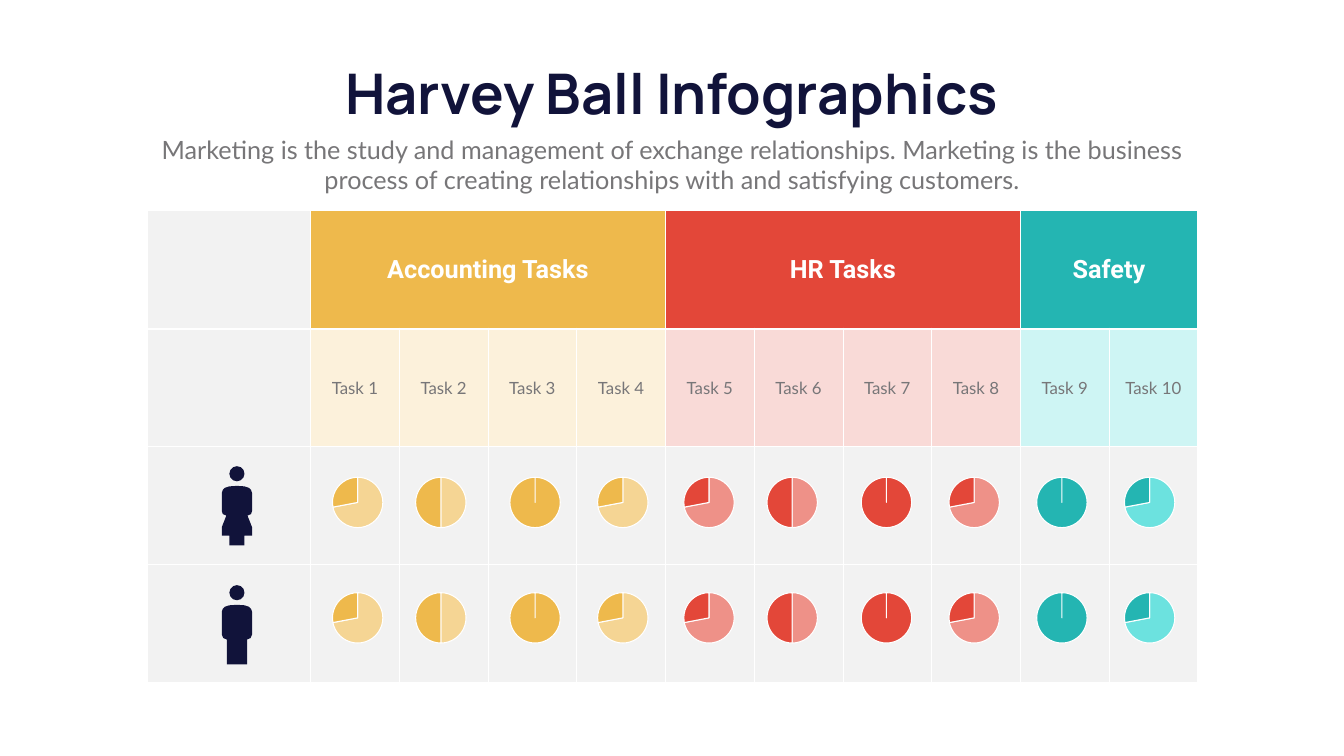
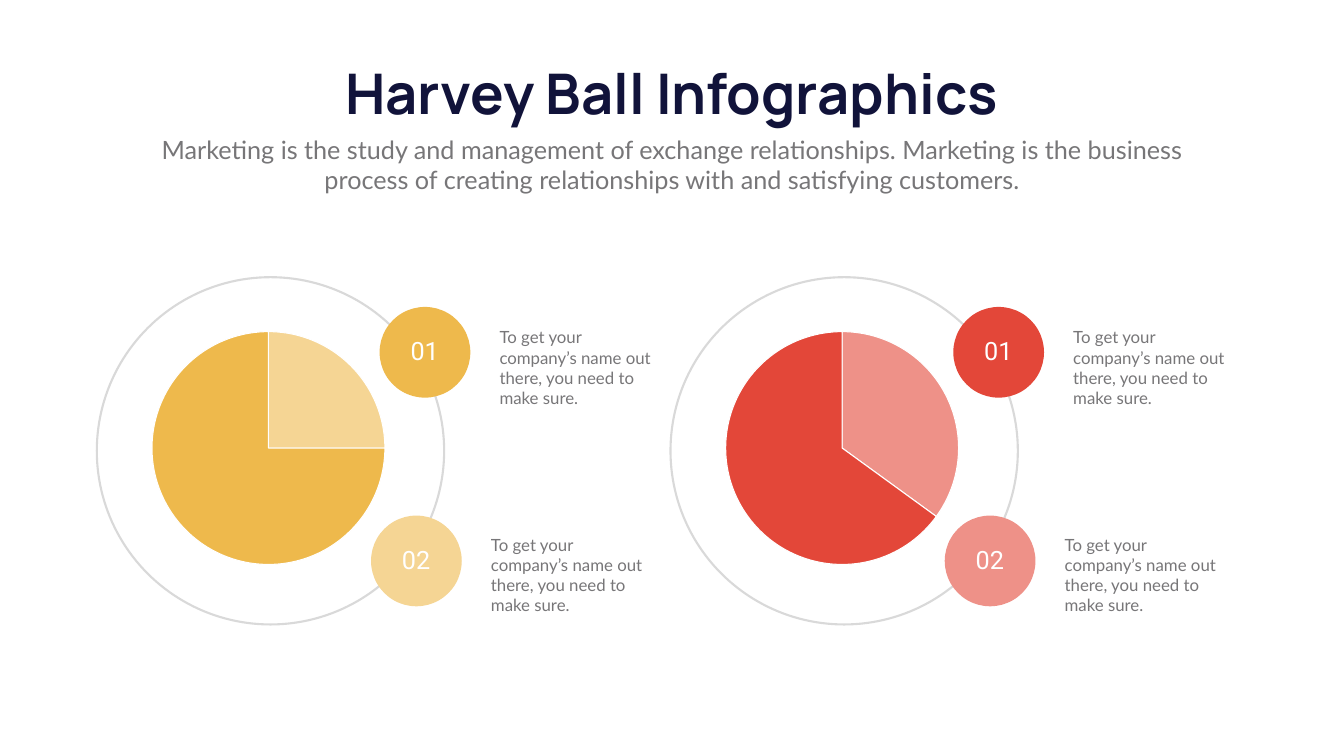
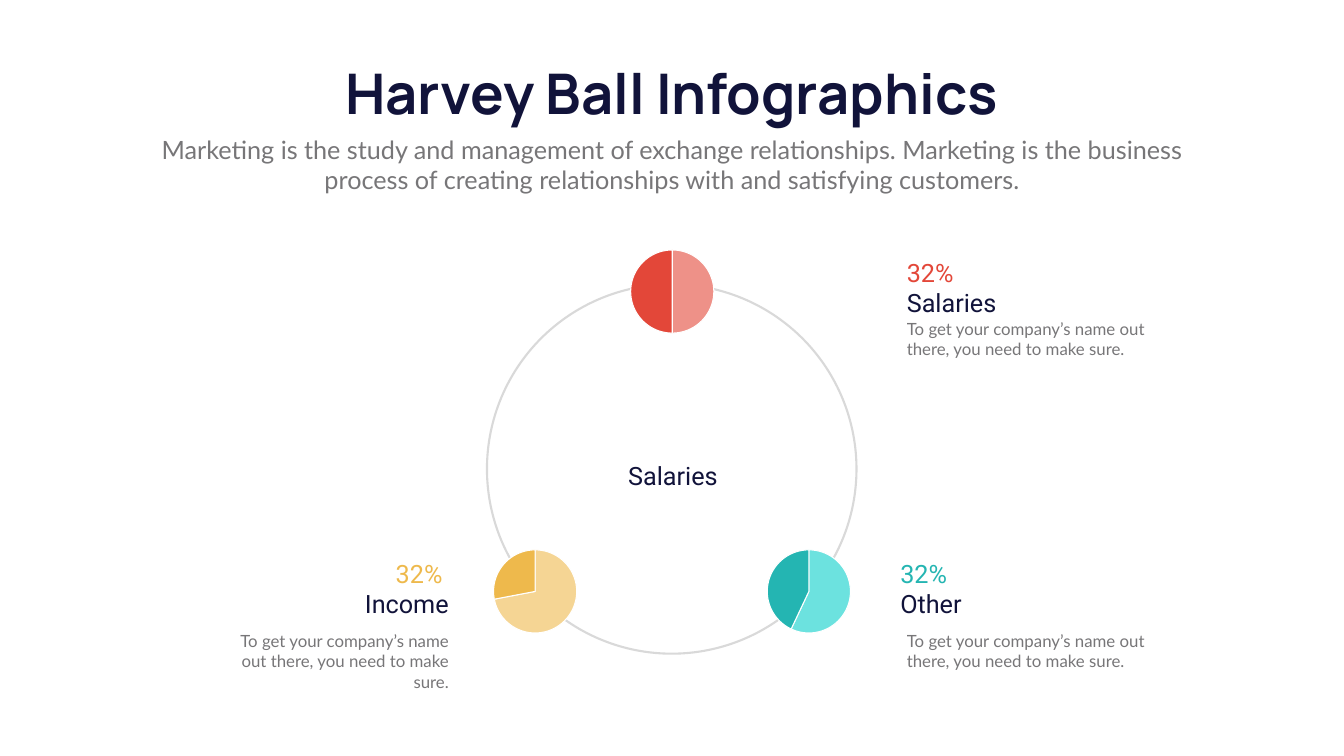
from lxml.etree import SubElement
from pptx import Presentation
from pptx.chart.data import CategoryChartData
from pptx.dml.color import RGBColor
from pptx.enum.chart import XL_CHART_TYPE as ChartType
from pptx.enum.shapes import MSO_SHAPE as Shape
from pptx.enum.text import MSO_ANCHOR as Anchor, MSO_AUTO_SIZE as AutoSize, PP_ALIGN as Align
from pptx.oxml import parse_xml
from pptx.oxml.ns import nsdecls, qn
from pptx.util import Inches, Pt

NAVY = RGBColor(0x11, 0x13, 0x3A)
GREY = RGBColor(0x77, 0x76, 0x78)
RING_GREY = RGBColor(0xD9, 0xD9, 0xD9)
CELL_GREY = RGBColor(0xF2, 0xF2, 0xF2)
WHITE = RGBColor(0xFF, 0xFF, 0xFF)
YELLOW = RGBColor(0xEE, 0xB9, 0x4C)
LIGHT_YELLOW = RGBColor(0xF5, 0xD5, 0x94)
PALE_YELLOW = RGBColor(0xFC, 0xF1, 0xDB)
RED = RGBColor(0xE3, 0x47, 0x39)
LIGHT_RED = RGBColor(0xEE, 0x91, 0x88)
PALE_RED = RGBColor(0xF9, 0xDA, 0xD7)
TEAL = RGBColor(0x24, 0xB5, 0xB2)
LIGHT_TEAL = RGBColor(0x6C, 0xE2, 0xDF)
PALE_TEAL = RGBColor(0xCE, 0xF5, 0xF4)

TITLE = "Harvey Ball Infographics"
INTRO = (
    "Marketing is the study and management of exchange relationships. "
    "Marketing is the business process of creating relationships with "
    "and satisfying customers."
)
CAPTION = "To get your company’s name out there, you need to make sure."

TASK_GROUPS = [
    ("Accounting Tasks", YELLOW, LIGHT_YELLOW, PALE_YELLOW,
     [(6.14, 72), (7.79, 50), (9.66, 0), (11.4, 72)]),
    ("HR Tasks", RED, LIGHT_RED, PALE_RED,
     [(13.11, 72), (14.76, 50), (16.63, 0), (18.37, 72)]),
    ("Safety", TEAL, LIGHT_TEAL, PALE_TEAL, [(20.11, 0), (21.85, 72)]),
]
TASK_COUNT = sum(len(group[-1]) for group in TASK_GROUPS)
SHOULDERS = [(0, 0), (0.15, 0.01), (0.24, 0.04), (0.28, 0.08), (0.3, 0.14)]
DRESS = [(0.3, 0.5), (0.28, 0.56), (0.21, 0.59), (0.3, 0.82), (0.3, 0.99),
         (0.15, 0.99), (0.15, 1.18)]
TROUSERS = [(0.3, 0.59), (0.27, 0.66), (0.2, 0.69), (0.2, 1.18)]


class Deck:
    PIE_MARGIN = 0.14

    def __init__(self):
        self.prs = Presentation()
        self.prs.slide_width = Inches(26.66)
        self.prs.slide_height = Inches(15)
        self.slide = None

    def new_slide(self):
        self.slide = self.prs.slides.add_slide(self.prs.slide_layouts[0])
        title, intro = self.slide.placeholders
        self.place(title, 6.14, 1.12, 14.37, 1.45)
        self.place(intro, 2.92, 2.61, 20.82, 1.31)
        self.set_lines(title.text_frame, [(TITLE, NAVY)], 80, "Manrope", Align.CENTER, bold=True)
        title.text_frame.word_wrap = False
        self.set_lines(intro.text_frame, [(INTRO, GREY)], 36, "Lato", Align.CENTER)

    def place(self, shape, left, top, width, height):
        shape.left, shape.top = Inches(left), Inches(top)
        shape.width, shape.height = Inches(width), Inches(height)

    def set_lines(self, frame, lines, size, font, align, bold=False):
        frame.word_wrap = True
        frame.auto_size = AutoSize.SHAPE_TO_FIT_TEXT
        frame.vertical_anchor = Anchor.TOP
        for index, (words, color) in enumerate(lines):
            paragraph = frame.add_paragraph() if index else frame.paragraphs[0]
            self.fill_paragraph(paragraph, words, color, size, font, align, bold)

    def fill_paragraph(self, paragraph, words, color, size, font, align, bold=False):
        paragraph.alignment = align
        paragraph.space_before = Pt(0)
        run = paragraph.add_run()
        run.text = words
        run.font.size = Pt(size)
        run.font.name = font
        run.font.bold = bold
        run.font.color.rgb = color

    def text(self, left, top, width, height, lines, size=36, font="Roboto", align=Align.LEFT):
        box = self.slide.shapes.add_textbox(
            Inches(left), Inches(top), Inches(width), Inches(height))
        self.set_lines(box.text_frame, lines, size, font, align)

    def caption(self, left, top, width, height, align=Align.LEFT):
        self.text(left, top, width, height, [(CAPTION, GREY)], 24, "Lato", align)

    def circle(self, left, top, size, fill=None, line=None):
        disc = self.slide.shapes.add_shape(
            Shape.OVAL, Inches(left), Inches(top), Inches(size), Inches(size))
        self.paint(disc, fill, line)

    def paint(self, shape, fill=None, line=None):
        shape.shadow.inherit = False
        if fill is None:
            shape.fill.background()
        else:
            shape.fill.solid()
            shape.fill.fore_color.rgb = fill
        if line is None:
            shape.line.fill.background()
        else:
            shape.line.color.rgb = line
            shape.line.width = Pt(3)

    def person(self, center, top, lower_half):
        self.circle(center - 0.15, top, 0.3, NAVY)
        half = SHOULDERS + lower_half
        outline = half + [(-x, y) for x, y in reversed(half)]
        points = [(Inches(center + x), Inches(top + 0.39 + y)) for x, y in outline]
        builder = self.slide.shapes.build_freeform(*points[0])
        builder.add_line_segments(points[1:], close=True)
        self.paint(builder.convert_to_shape(), NAVY)

    def ball(self, left, top, width, height, light_share, dark, light):
        data = CategoryChartData()
        data.categories = ["1", "2"]
        data.add_series("Series 1", [light_share, 100 - light_share])
        chart = self.slide.shapes.add_chart(
            ChartType.PIE, Inches(left), Inches(top), Inches(width), Inches(height), data).chart
        chart.has_legend = False
        chart.has_title = False
        chart.font.size = Pt(10)
        chart.font.name = "Calibri"
        chart.font.color.rgb = GREY
        plot = chart.plots[0]
        plot.vary_by_categories = True
        for index, color in enumerate([light if light_share else dark, dark]):
            wedge = plot.series[0].points[index].format
            wedge.fill.solid()
            wedge.fill.fore_color.rgb = color
            wedge.line.color.rgb = WHITE
            wedge.line.width = Pt(1.5)
        self.fix_pie_size(chart, width, height)

    def fix_pie_size(self, chart, width, height):
        diameter = height - 2 * self.PIE_MARGIN
        w, h = diameter / width, diameter / height
        settings = [("layoutTarget", "inner"), ("xMode", "edge"), ("yMode", "edge"),
                    ("x", (1 - w) / 2), ("y", (1 - h) / 2), ("w", w), ("h", h)]
        area = chart.plots[0]._element.getparent()
        for old in area.findall(qn("c:layout")):
            area.remove(old)
        layout = parse_xml(f"<c:layout {nsdecls('c')}><c:manualLayout/></c:layout>")
        for tag, value in settings:
            SubElement(layout[0], qn(f"c:{tag}")).set("val", str(value))
        area.insert(0, layout)

    def table(self, left, top, column_widths, row_heights):
        grid = self.slide.shapes.add_table(
            len(row_heights), len(column_widths), Inches(left), Inches(top),
            Inches(sum(column_widths)), Inches(sum(row_heights))).table
        grid.first_row = grid.horz_banding = False
        for column, width in zip(grid.columns, column_widths):
            column.width = Inches(width)
        for row, height in zip(grid.rows, row_heights):
            row.height = Inches(height)
        for index, row in enumerate(grid.rows):
            for cell in row.cells:
                self.border(cell, 1 if index else 3)
                self.cell(cell, CELL_GREY)
        return grid

    def border(self, cell, bottom):
        properties = cell._tc.get_or_add_tcPr()
        for side, points in [("L", 1), ("R", 1), ("T", 1), ("B", bottom)]:
            properties.append(parse_xml(
                f'<a:ln{side} {nsdecls("a")} w="{Pt(points)}"><a:solidFill>'
                f'<a:srgbClr val="{WHITE}"/></a:solidFill></a:ln{side}>'))

    def cell(self, cell, fill, words="", color=GREY, size=24, font="Lato", bold=False):
        cell.fill.solid()
        cell.fill.fore_color.rgb = fill
        cell.vertical_anchor = Anchor.MIDDLE
        if words:
            self.fill_paragraph(
                cell.text_frame.paragraphs[0], words, color, size, font, Align.CENTER, bold)


def task_matrix(deck):
    deck.new_slide()
    grid = deck.table(2.92, 4.18, [3.24] + [1.76] * TASK_COUNT, [2.34] * 4)
    task = 1
    for heading, dark, light, pale, balls in TASK_GROUPS:
        header = grid.cell(0, task)
        header.merge(grid.cell(0, task + len(balls) - 1))
        deck.cell(header, dark, heading, WHITE, 36, "Roboto", True)
        for left, light_share in balls:
            deck.cell(grid.cell(1, task), pale, f"Task {task}")
            for top in (9.33, 11.62):
                deck.ball(left, top, 1.91, 1.28, light_share, dark, light)
            task += 1
    deck.person(4.7, 9.25, DRESS)
    deck.person(4.7, 11.61, TROUSERS)


def two_balls(deck):
    deck.new_slide()
    panels = [(25, YELLOW, LIGHT_YELLOW), (35, RED, LIGHT_RED)]
    for index, (light_share, dark, light) in enumerate(panels):
        left = 1.65 + 11.38 * index
        deck.ball(left, 6.44, 7.35, 4.9, light_share, dark, light)
        deck.circle(left + 0.27, 5.5, 6.89, line=RING_GREY)
        badges = [("01", 5.88, 6.09, dark, 6.44), ("02", 5.71, 10.23, light, 10.55)]
        for number, offset, top, color, caption_top in badges:
            deck.circle(left + offset, top, 1.8, color)
            deck.text(left + offset + 0.18, top + 0.52, 1.43, 0.71,
                      [(number, WHITE)], align=Align.CENTER)
            deck.caption(left + offset + 2.28, caption_top, 3.41, 1.31)


def salary_ring(deck):
    deck.new_slide()
    deck.circle(9.66, 5.64, 7.33, line=RING_GREY)
    deck.text(11.72, 9.09, 3.26, 0.71, [("Salaries", NAVY)], align=Align.CENTER)
    stops = [
        ("Salaries", "32%", 50, RED, LIGHT_RED, (11.89, 4.82), (17.89, 5.06),
         (17.89, 6.28, 5.04), Align.LEFT),
        ("Income", "32% ", 72, YELLOW, LIGHT_YELLOW, (9.17, 10.77), (5.74, 11.03),
         (4.13, 12.47, 4.87), Align.RIGHT),
        ("Other", "32%", 57, TEAL, LIGHT_TEAL, (14.6, 10.77), (17.76, 11.03),
         (17.89, 12.47, 5.04), Align.LEFT),
    ]
    for name, percent, light_share, dark, light, ball_at, label_at, caption_at, align in stops:
        deck.ball(*ball_at, 2.89, 1.93, light_share, dark, light)
        deck.text(*label_at, 3.26, 1.31, [(percent, dark), (name, NAVY)], align=align)
        deck.caption(*caption_at, 0.91, align)


def main():
    deck = Deck()
    task_matrix(deck)
    two_balls(deck)
    salary_ring(deck)
    deck.prs.save("out.pptx")


if __name__ == "__main__":
    main()
